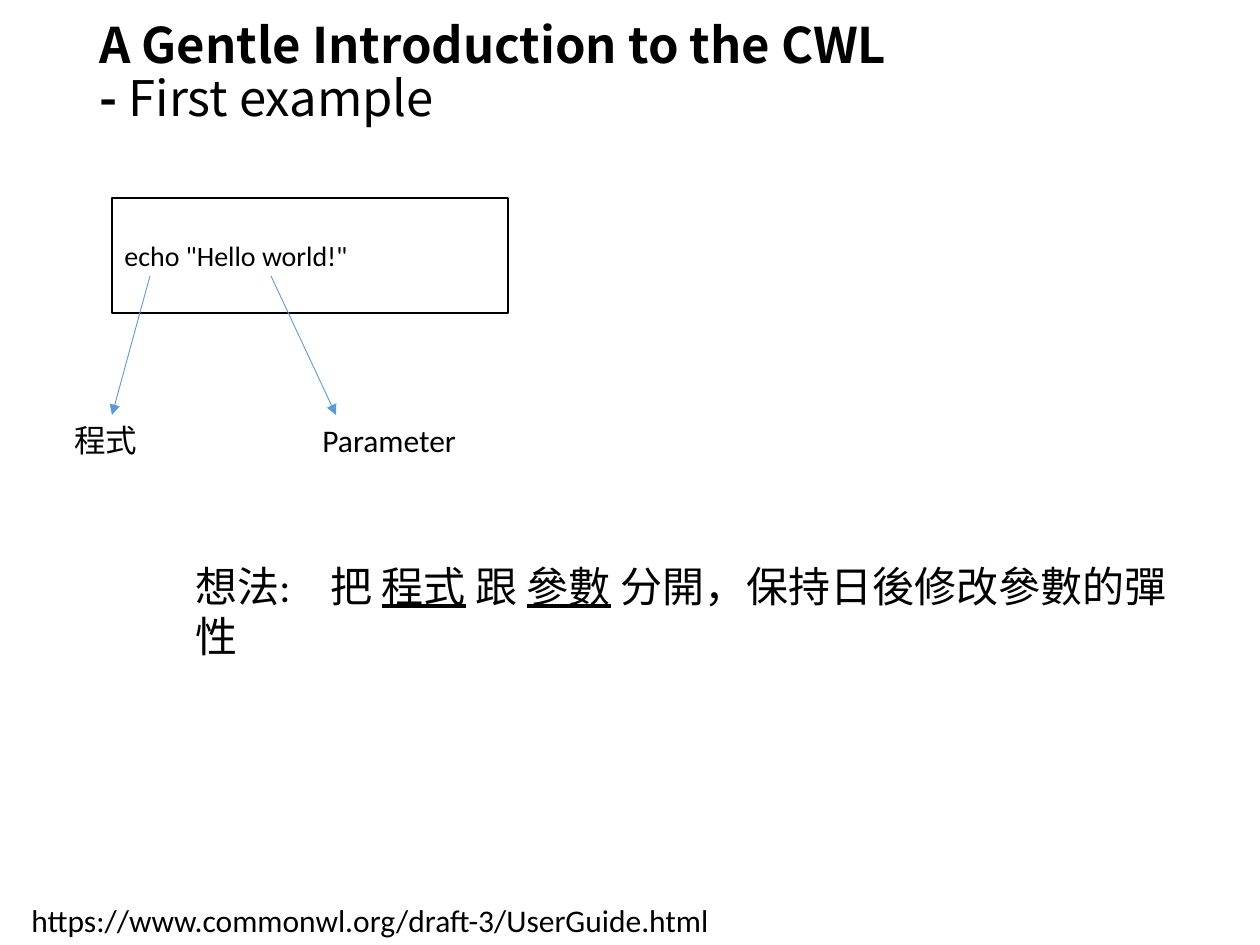
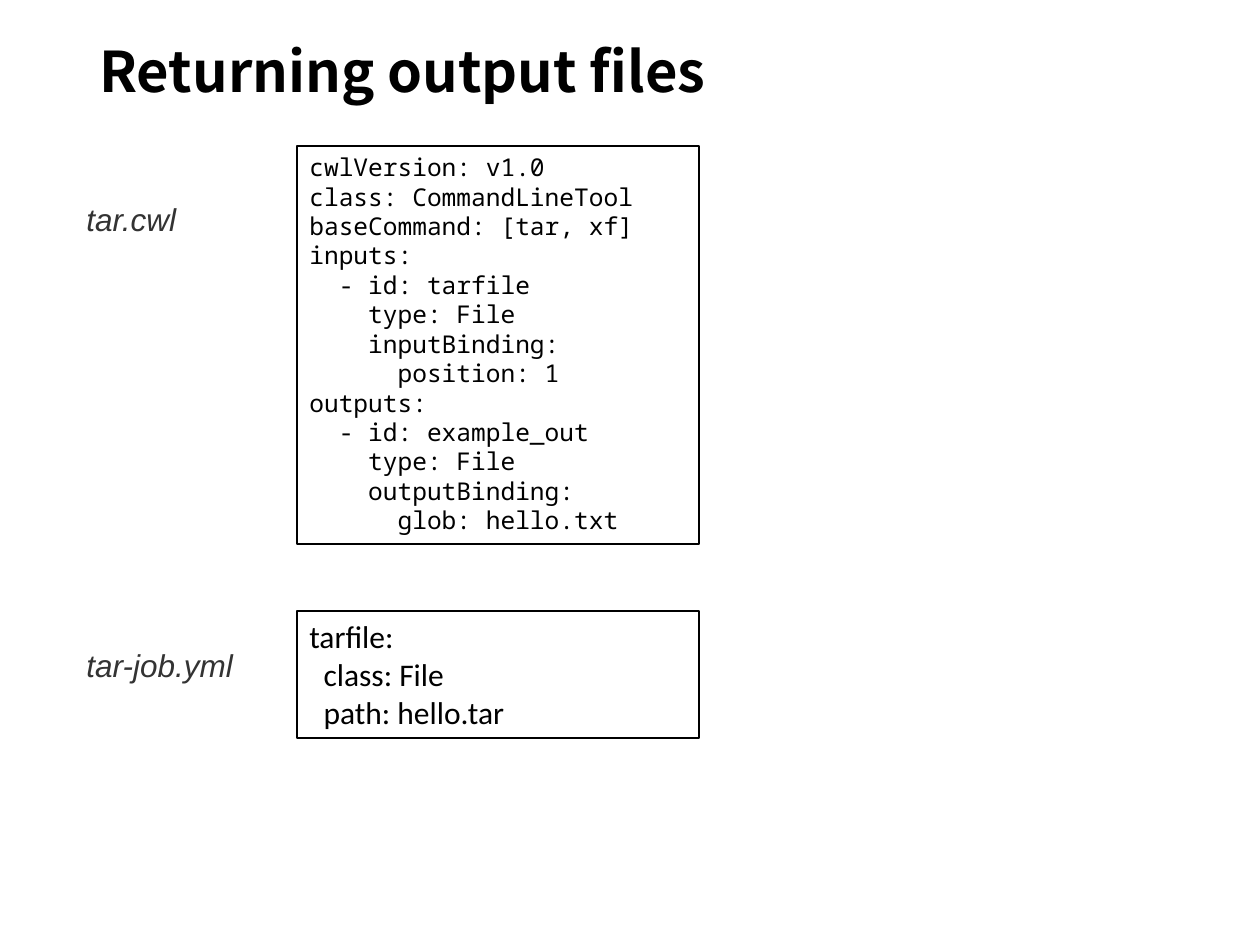
from lxml import etree
from pptx import Presentation
from pptx.dml.color import RGBColor
from pptx.enum import shapes, text
from pptx.oxml.ns import qn
from pptx import util as u

PX = u.Inches(1) / 126
BLACK = RGBColor(0x00, 0x00, 0x00)
GREY = RGBColor(0x33, 0x33, 0x33)
BLUE = RGBColor(0x5B, 0x9B, 0xD5)
BODY, TITLE, MONO, LABEL = "Calibri", "Noto Sans CJK SC", "Noto Sans Mono", "Arial"

CWL = """cwlVersion: v1.0
class: CommandLineTool
baseCommand: [tar, xf]
inputs:
  - id: tarfile
    type: File
    inputBinding:
      position: 1
outputs:
  - id: example_out
    type: File
    outputBinding:
      glob: hello.txt"""
JOB = """tarfile:
  class: File
  path: hello.tar"""


def emu(*lengths):
    return [round(n * PX) for n in lengths]


def add_run(p, words, font=BODY, size=18, color=BLACK, bold=False,
            italic=False, underline=False):
    r = p.add_run()
    r.text = words
    f = r.font
    f.name, f.size, f.color.rgb = font, u.Pt(size), color
    f.bold, f.italic, f.underline = bold, italic, underline
    ea = etree.SubElement(r._r.get_or_add_rPr(), qn("a:ea"))
    ea.set("typeface", font)


def add_text(s, box, lines="", wrap=True, anchor=text.MSO_ANCHOR.TOP,
             outline=False, **fmt):
    if outline:
        sp = s.shapes.add_shape(shapes.MSO_SHAPE.RECTANGLE, *emu(*box))
        sp.shadow.inherit = False
        sp.fill.background()
        sp.line.color.rgb = BLACK
        sp.line.width = u.Pt(0.75)
    else:
        sp = s.shapes.add_textbox(*emu(*box))
    tf = sp.text_frame
    tf.word_wrap, tf.vertical_anchor = wrap, anchor
    for i, line in enumerate(lines.split("\n")):
        p = tf.add_paragraph() if i else tf.paragraphs[0]
        p.alignment = text.PP_ALIGN.LEFT
        if line:
            add_run(p, line, **fmt)
    return tf.paragraphs[0]


def add_title(s, runs, size):
    p = add_text(s, (87, 23, 1086, 102), anchor=text.MSO_ANCHOR.MIDDLE)
    p.line_spacing = 0.9
    for i, (words, bold) in enumerate(runs):
        if i and words.startswith("-"):
            p.add_line_break()
        add_run(p, words, font=TITLE, size=size, bold=bold)


def add_arrow(s, start, end):
    c = s.shapes.add_connector(shapes.MSO_CONNECTOR.STRAIGHT, *emu(*start, *end))
    c.line.color.rgb = BLUE
    c.line.width = u.Pt(0.5)
    etree.SubElement(c.line._get_or_add_ln(), qn("a:tailEnd")).set("type", "triangle")
    etree.SubElement(c._element.spPr, qn("a:effectLst"))


def command_diagram(s, x, y, w, h):
    add_text(s, (x, y, w, h), 'echo "Hello world!"', outline=True,
             anchor=text.MSO_ANCHOR.MIDDLE, size=16)
    parts = (("程式", 38, 0, -50, 89), ("Parameter", 159, 224, 198, 160))
    for name, tail, head, left, width in parts:
        add_arrow(s, (x + tail, y + 78), (x + head, y + 217))
        add_text(s, (x + left, y + 217, width, 50), name, wrap=False)


def idea(s, x, y, w, h):
    p = add_text(s, (x, y, w, h))
    tabs = etree.SubElement(p._p.get_or_add_pPr(), qn("a:tabLst"))
    tab = etree.SubElement(tabs, qn("a:tab"))
    tab.set("pos", str(emu(135)[0]))
    tab.set("algn", "l")
    for words, underline in (("想法:\t把 ", False), ("程式", True), (" 跟 ", False),
                             ("參數", True), (" 分開，保持日後修改參數的彈性", False)):
        add_run(p, words, size=24, underline=underline)


def code_file(s, x, y, w, h, name, code, label_dy, **fmt):
    add_text(s, (x, y + label_dy, 207, 50), name, font=LABEL,
             color=GREY, italic=True)
    add_text(s, (x + 223, y, w, h), code, outline=True, **fmt)


def first_example(s):
    add_title(s, (("A Gentle Introduction to the CWL", True), ("- ", True),
                  ("First example", False)), 28)
    command_diagram(s, 112, 198, 396, 115)
    idea(s, 183, 554, 1027, 63)
    add_text(s, (19, 895, 770, 50), "https://www.commonwl.org/draft-3/UserGuide.html")


def output_files(s):
    add_title(s, (("Returning output files", True),), 32)
    code_file(s, 74, 146, 402, 398, "tar.cwl", CWL, 48, font=MONO, size=14)
    code_file(s, 74, 611, 402, 127, "tar-job.yml", JOB, 29)


def main():
    prs = Presentation()
    prs.slide_width, prs.slide_height = emu(1260, 945)
    for build in (first_example, output_files):
        build(prs.slides.add_slide(prs.slide_layouts[6]))
    prs.save("out.pptx")


if __name__ == "__main__":
    main()
